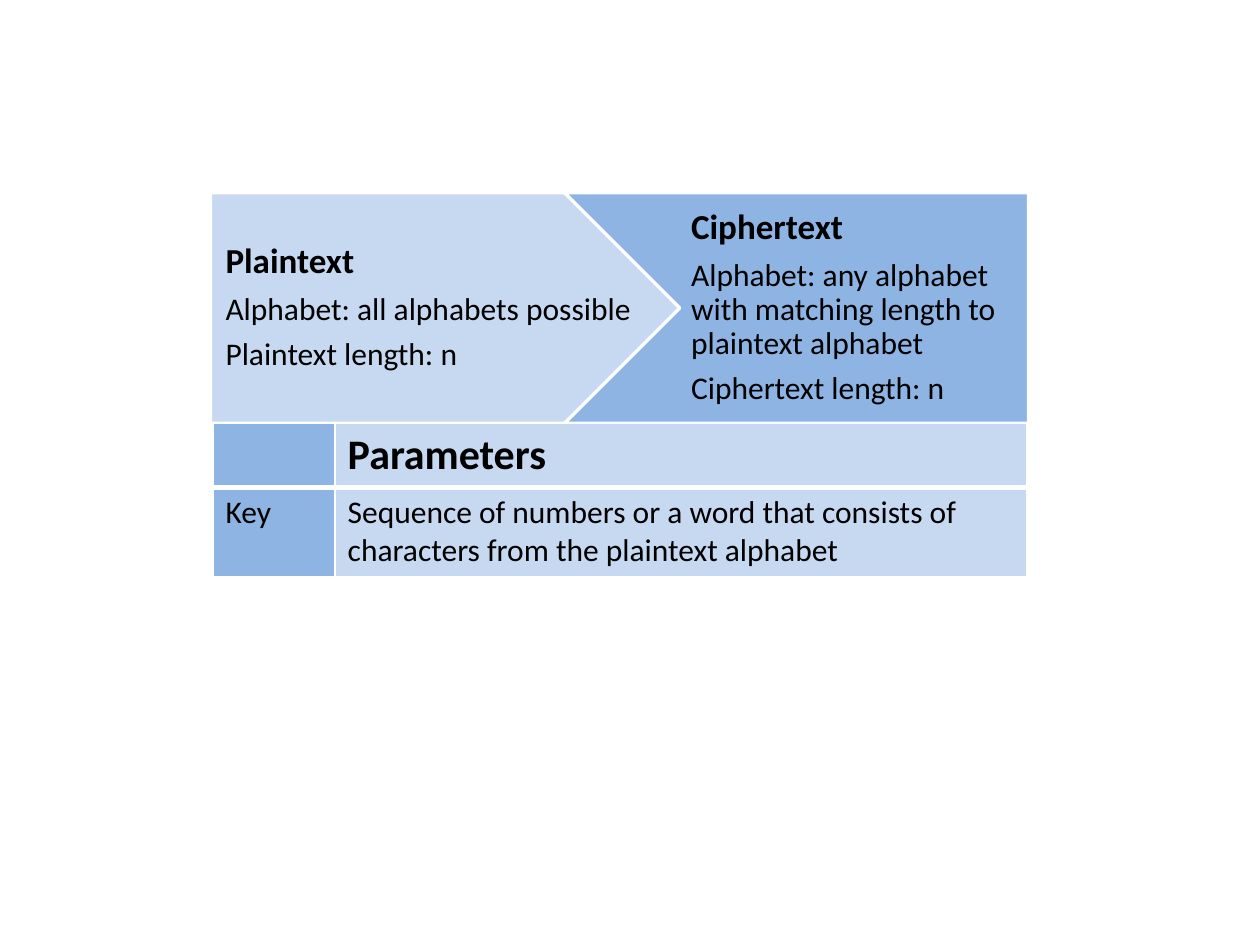
from pptx import Presentation
from pptx.dml.color import RGBColor
from pptx.enum.shapes import MSO_SHAPE
from pptx.enum.text import MSO_ANCHOR, PP_ALIGN
from pptx.oxml import parse_xml
from pptx.oxml.ns import nsdecls
from pptx.util import Inches, Pt

PENTAGON = MSO_SHAPE.PENTAGON
CHEVRON = MSO_SHAPE.CHEVRON
RECTANGLE = MSO_SHAPE.RECTANGLE
MIDDLE = MSO_ANCHOR.MIDDLE
LEFT = PP_ALIGN.LEFT
LIGHT_BLUE = RGBColor(0xC6, 0xD9, 0xF1)
MID_BLUE = RGBColor(0x8E, 0xB4, 0xE3)
WHITE = RGBColor(0xFF, 0xFF, 0xFF)
BLACK = RGBColor(0, 0, 0)


def write(para, text, size=18, bold=False, line_spacing=None, space_after=None):
    para.alignment = LEFT
    para.line_spacing = line_spacing
    para.space_after = space_after
    span = para.add_run()
    span.text = text
    span.font.name = "Calibri"
    span.font.size = Pt(size)
    span.font.bold = bold
    span.font.color.rgb = BLACK


def set_border(cell, side, width):
    cell._tc.get_or_add_tcPr().append(parse_xml(
        f'<a:{side} {nsdecls("a")} w="{Pt(width)}"><a:solidFill>'
        f'<a:srgbClr val="{WHITE}"/></a:solidFill></a:{side}>'))


deck = Presentation()
deck.slide_width = Inches(10)
deck.slide_height = Inches(7.5)
page = deck.slides.add_slide(deck.slide_layouts[6])

stages = [
    (PENTAGON, 1.67, 3.94, LIGHT_BLUE, 0.12,
     ["Plaintext", "Alphabet: all alphabets possible", "Plaintext length: n"]),
    (CHEVRON, 4.48, 4.61, MID_BLUE, 0.09,
     ["Ciphertext",
      "Alphabet: any alphabet with matching length to plaintext alphabet",
      "Ciphertext length: n"]),
]
for kind, left, width, color, inset, lines in stages:
    stage = page.shapes.add_shape(
        kind, Inches(left), Inches(1.53), Inches(width), Inches(1.83))
    stage.shadow.inherit = False
    stage.adjustments[0] = 0.5
    stage.fill.solid()
    stage.fill.fore_color.rgb = color
    stage.line.color.rgb = WHITE
    stage.line.width = Pt(2)
    frame = stage.text_frame
    frame.word_wrap = True
    frame.vertical_anchor = MIDDLE
    frame.margin_left = Inches(inset)
    frame.margin_right = Inches(0.03)
    frame.margin_top = frame.margin_bottom = Inches(0.06)
    for index, line in enumerate(lines):
        heading = index == 0
        para = frame.paragraphs[0] if heading else frame.add_paragraph()
        write(para, line, size=20 if heading else 18, bold=heading,
              line_spacing=0.9, space_after=Pt(7 if heading else 6.3))

tip_cover = page.shapes.add_shape(
    RECTANGLE, Inches(8.15), Inches(1.15), Inches(0.94), Inches(2.44))
tip_cover.shadow.inherit = False
tip_cover.fill.solid()
tip_cover.fill.fore_color.rgb = WHITE
tip_cover.line.fill.background()

table = page.shapes.add_table(
    2, 2, Inches(1.69), Inches(3.36), Inches(6.46), Inches(0.88)).table
for column, width in zip(table.columns, (0.97, 5.49)):
    column.width = Inches(width)
for row, height in zip(table.rows, (0.47, 0.41)):
    row.height = Inches(height)

contents = [
    ["", "Parameters"],
    ["Key", "Sequence of numbers or a word that consists of characters "
            "from the plaintext alphabet"],
]
for row_index, texts in enumerate(contents):
    header = row_index == 0
    for column_index, text in enumerate(texts):
        cell = table.cell(row_index, column_index)
        for side in ("lnL", "lnR", "lnT", "lnB"):
            thick = side == ("lnB" if header else "lnT")
            set_border(cell, side, 3 if thick else 0.96)
        cell.fill.solid()
        cell.fill.fore_color.rgb = LIGHT_BLUE if column_index else MID_BLUE
        if text:
            write(cell.text_frame.paragraphs[0], text,
                  size=24 if header else 18, bold=header)

deck.save("out.pptx")
